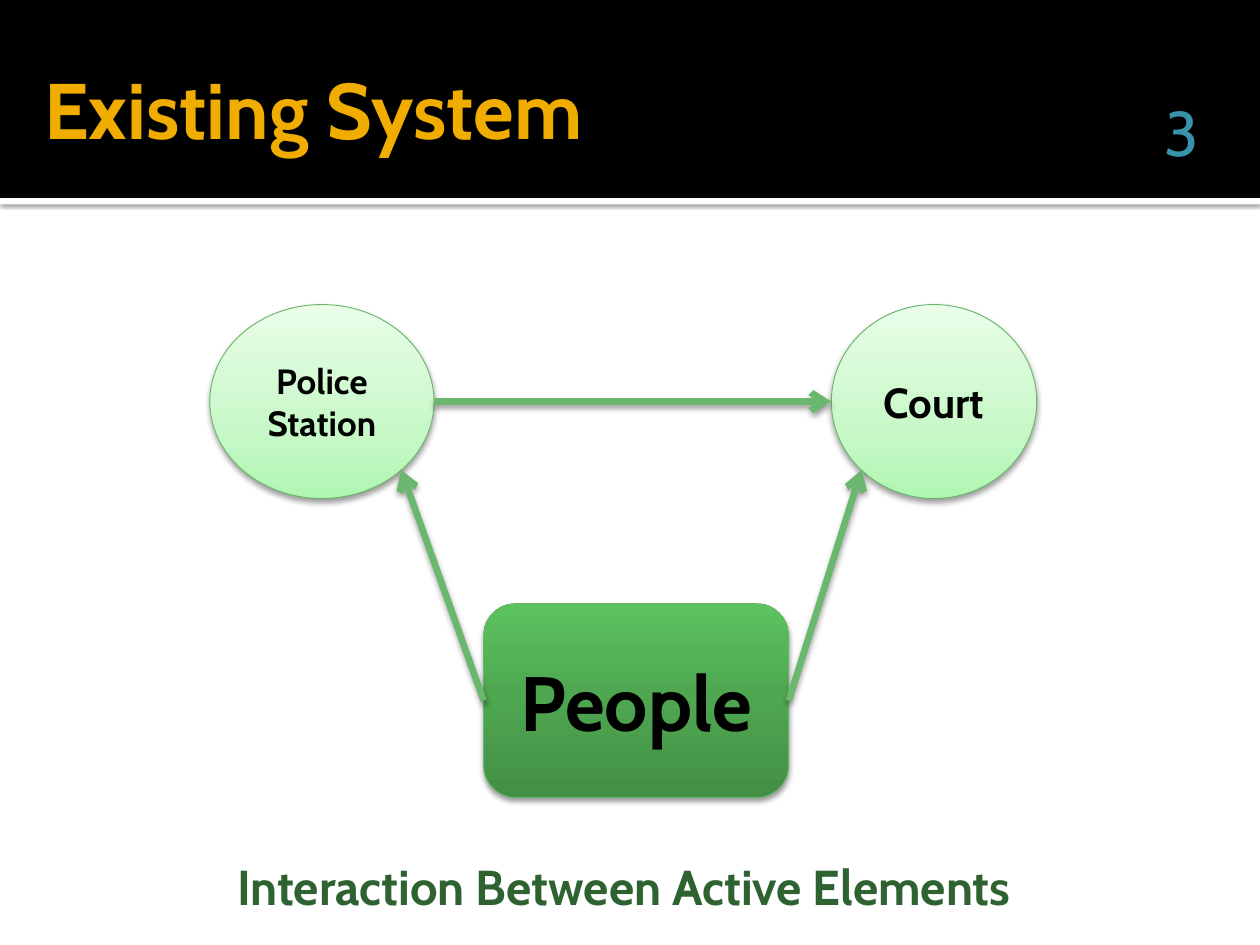
from copy import deepcopy
from math import sqrt

from lxml import etree
from pptx import Presentation
from pptx.dml.color import RGBColor
from pptx.enum.shapes import MSO_CONNECTOR, MSO_SHAPE
from pptx.enum.text import MSO_ANCHOR, MSO_AUTO_SIZE, PP_ALIGN
from pptx.oxml.ns import qn
from pptx.util import Cm, Pt

RECT, OVAL, ROUND = MSO_SHAPE.RECTANGLE, MSO_SHAPE.OVAL, MSO_SHAPE.ROUNDED_RECTANGLE
STRAIGHT = MSO_CONNECTOR.STRAIGHT
TOP, MIDDLE, BOTTOM = MSO_ANCHOR.TOP, MSO_ANCHOR.MIDDLE, MSO_ANCHOR.BOTTOM
LEFT, CENTER, RIGHT = PP_ALIGN.LEFT, PP_ALIGN.CENTER, PP_ALIGN.RIGHT
FIT = MSO_AUTO_SIZE.SHAPE_TO_FIT_TEXT

FONT = "Cabin"
COLORS = {
    "black": "000000", "white": "FFFFFF", "title": "F0AD00", "number": "3792AA",
    "edge": "67B569", "arrow": "6BB76D", "caption": "2F6231",
}
# Gradient stops run from bottom to top
PALE = [(0, "B0F6B1"), (0.35, "C8F8C8"), (1, "E9FDE9")]
DEEP = [(0, "438F45"), (0.55, "4FA851"), (1, "5CC35F")]


def rgb(name):
    return RGBColor.from_string(COLORS[name])


def cast(props, alpha, blur, dist):
    """Put a downward black shadow on shape properties."""
    effects = props.find(qn("a:effectLst"))
    if effects is None:
        effects = etree.SubElement(props, qn("a:effectLst"))
    shade = etree.SubElement(
        effects, qn("a:outerShdw"), blurRad=str(Pt(blur)), dist=str(Pt(dist)),
        dir="5400000", rotWithShape="0")
    color = etree.SubElement(shade, qn("a:srgbClr"), val=COLORS["black"])
    etree.SubElement(color, qn("a:alpha"), val=str(alpha * 1000))


def write(shape, text, size, color, align=LEFT, anchor=TOP, bold=True):
    frame = shape.text_frame
    frame.word_wrap = True
    frame.vertical_anchor = anchor
    para = frame.paragraphs[0]
    para.text = text
    para.alignment = align
    font = para.font
    font.name, font.size, font.bold = FONT, Pt(size), bold
    font.color.rgb = rgb(color)
    return frame


def add_bar(slide, box, color):
    bar = slide.shapes.add_shape(RECT, *map(Cm, box))
    bar.shadow.inherit = False
    bar.fill.solid()
    bar.fill.fore_color.rgb = rgb(color)
    bar.line.fill.background()
    return bar


def add_header(slide, box, title, number):
    x, y, w, h = box
    rule = add_bar(slide, (x, y + h, w, 0.13), "white")
    cast(rule._element.spPr, 60, 2.5, 0.8)
    add_bar(slide, box, "black")

    # Title
    area = slide.shapes.add_textbox(Cm(x + 0.64), Cm(y + 0.43), Cm(w - 2.54), Cm(h - 0.51))
    frame = write(area, title, 45, "title", anchor=MIDDLE)
    frame.margin_right = Cm(0.13)

    # Slide number
    area = slide.shapes.add_textbox(Cm(x + w - 2.34), Cm(y + 2.24), Cm(1.35), Cm(1.17))
    frame = write(area, number, 36, "number", RIGHT, BOTTOM, False)
    frame.margin_bottom = 0


def add_node(slide, kind, box, text, size, stops, blur):
    node = slide.shapes.add_shape(kind, *map(Cm, box))
    node.shadow.inherit = False
    fill = node.fill
    fill.gradient()
    fill.gradient_angle = 90
    marks = node._element.spPr.find(".//" + qn("a:gsLst"))
    marks.insert(1, deepcopy(marks[0]))
    for stop, (place, color) in zip(fill.gradient_stops, stops):
        stop.position = place
        stop.color.rgb = RGBColor.from_string(color)
    node.line.color.rgb = rgb("edge")
    node.line.width = Pt(0.5)
    cast(node._element.spPr, 38, blur, 2)
    write(node, text, size, "black", CENTER, MIDDLE)
    return node


def add_arrow(slide, start, end):
    arrow = slide.shapes.add_connector(STRAIGHT, *map(int, start + end))
    arrow.line.color.rgb = rgb("arrow")
    arrow.line.width = Pt(3.78)
    etree.SubElement(arrow.line._get_or_add_ln(), qn("a:tailEnd"), type="arrow")
    cast(arrow._element.spPr, 38, 3.5, 2)
    return arrow


def rim(oval, dx, dy):
    """Point on an oval's edge in the direction dx, dy."""
    scale = 2 * sqrt(dx * dx + dy * dy)
    return (oval.left + oval.width / 2 + dx * oval.width / scale,
            oval.top + oval.height / 2 + dy * oval.height / scale)


def add_diagram(slide, box):
    x, y, w, h = box
    tall = 3.91
    police = add_node(slide, OVAL, (x, y, 4.52, tall), "Police Station", 20, PALE, 3.5)
    court = add_node(slide, OVAL, (x + w - 4.14, y, 4.14, tall), "Court", 24, PALE, 3.5)
    people = add_node(slide, ROUND, (x + 5.52, y + h - tall, 6.15, tall),
                      "People", 44, DEEP, 3.1)

    # Arrows from the people's sides, then between the ovals
    for oval, dx, side in ((police, 1, 1), (court, -1, 3)):
        end = rim(oval, dx, 1)
        add_arrow(slide, end, end).begin_connect(people, side)
    add_arrow(slide, rim(police, 1, 0), rim(court, -1, 0))


def add_caption(slide, box, text):
    area = slide.shapes.add_textbox(*map(Cm, box))
    frame = write(area, text, 28, "caption")
    frame.word_wrap = False
    frame.auto_size = FIT


def main():
    deck = Presentation()
    deck.slide_width, deck.slide_height = Cm(25.4), Cm(19.05)
    slide = deck.slides.add_slide(deck.slide_layouts[6])
    add_header(slide, (0, 0, 25.4, 3.99), "Existing System", "3")
    add_diagram(slide, (4.23, 6.14, 16.67, 9.94))
    add_caption(slide, (4.53, 17.15, 16.43, 1.45), "Interaction Between Active Elements")
    deck.save("out.pptx")


if __name__ == "__main__":
    main()
